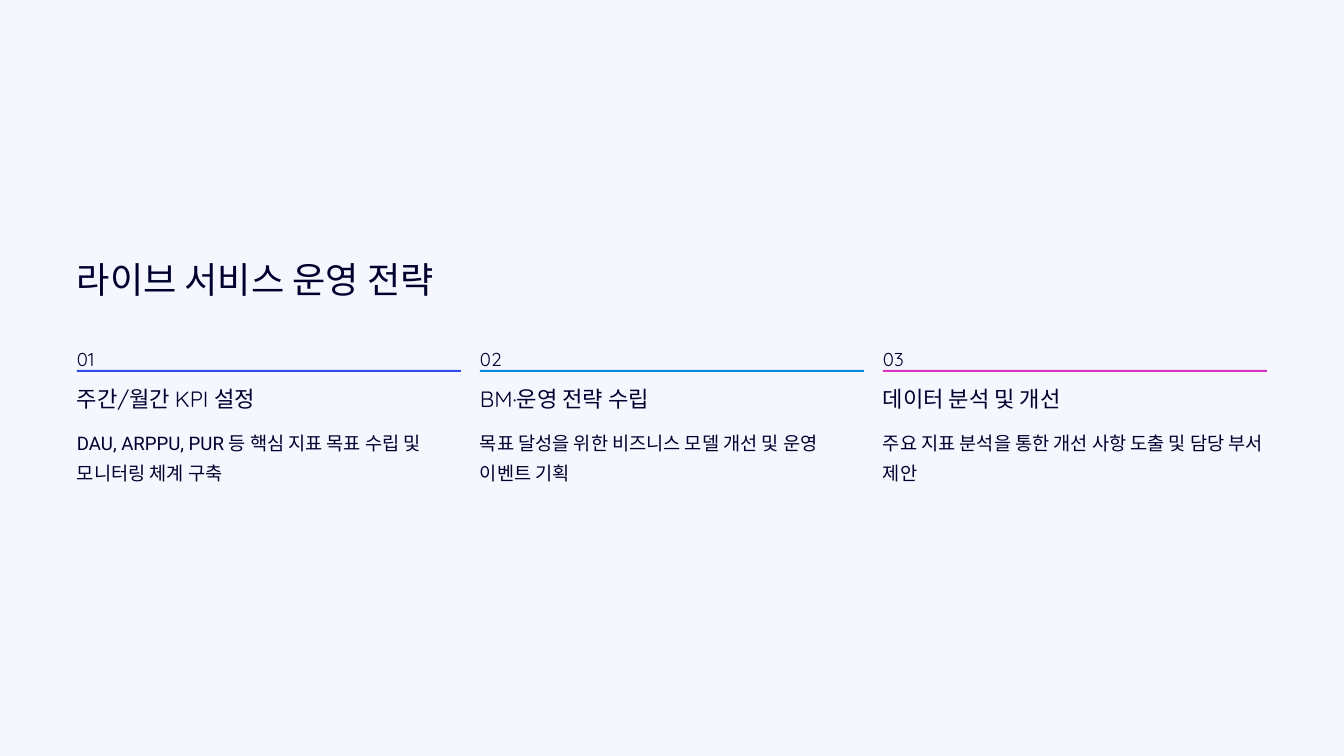
"""Build the live service operation strategy slide."""
from dataclasses import dataclass

from lxml.etree import SubElement
from pptx import Presentation
from pptx.dml.color import RGBColor
from pptx.enum.shapes import MSO_SHAPE
from pptx.oxml.ns import qn
from pptx.slide import Slide
from pptx.util import Emu, Pt

PX_PER_INCH = 84
SLIDE_WIDTH, SLIDE_HEIGHT = 1344, 756
LEFT, COLUMN_WIDTH, GAP = 77, 384, 19
LAVENDER = RGBColor(0xF3, 0xF3, 0xFF)
NAVY = RGBColor(0x00, 0x00, 0x2E)
BLUE = RGBColor(0x2D, 0x4D, 0xF2)
AZURE = RGBColor(0x01, 0x8C, 0xE1)
MAGENTA = RGBColor(0xDA, 0x33, 0xBF)


@dataclass(frozen=True)
class Strategy:
    """One column of the strategy overview."""

    heading: str
    detail: str
    accent: RGBColor


STRATEGIES = [
    Strategy("주간/월간 KPI 설정",
             "DAU, ARPPU, PUR 등 핵심 지표 목표 수립 및 모니터링 체계 구축", BLUE),
    Strategy("BM·운영 전략 수립",
             "목표 달성을 위한 비즈니스 모델 개선 및 운영 이벤트 기획", AZURE),
    Strategy("데이터 분석 및 개선",
             "주요 지표 분석을 통한 개선 사항 도출 및 담당 부서 제안", MAGENTA),
]


def px(length: int) -> Emu:
    """Turn a length in px into EMU."""
    return Emu(round(length * 914400 / PX_PER_INCH))


def add_text(slide: Slide, text: str, *, left: int, top: int, width: int, height: int,
             size: float, leading: float, font: str = "Quicksand", wrap: bool = False) -> None:
    """Place one paragraph of text in a box without margins."""
    box = slide.shapes.add_textbox(px(left), px(top), px(width), px(height))
    frame = box.text_frame
    frame.margin_left = frame.margin_right = frame.margin_top = frame.margin_bottom = 0
    frame.word_wrap = wrap
    paragraph = frame.paragraphs[0]
    paragraph.line_spacing = Pt(leading)
    run = paragraph.add_run()
    run.text = text
    run.font.name = font
    run.font.size = Pt(size)
    run.font.color.rgb = NAVY


def add_block(slide: Slide, color: RGBColor, *, left: int, top: int, width: int,
              height: int, opacity: int = 100) -> None:
    """Draw a plain rectangle, see-through when opacity is under 100 percent."""
    block = slide.shapes.add_shape(
        MSO_SHAPE.RECTANGLE, px(left), px(top), px(width), px(height))
    block.shadow.inherit = False
    block.fill.solid()
    block.fill.fore_color.rgb = color
    block.line.fill.background()
    if opacity < 100:
        tint = block.fill._xPr.find(qn("a:solidFill")).find(qn("a:srgbClr"))
        SubElement(tint, qn("a:alpha"), val=str(opacity * 1000))


def add_strategy(slide: Slide, index: int, strategy: Strategy) -> None:
    """Draw one numbered strategy column."""
    left = LEFT + index * (COLUMN_WIDTH + GAP)
    add_text(slide, f"{index + 1:02}", left=left, top=340, width=24, height=24,
             size=16, leading=26)
    add_block(slide, strategy.accent, left=left, top=370, width=COLUMN_WIDTH, height=2)
    add_text(slide, strategy.heading, left=left, top=384, width=226, height=29,
             size=19, leading=24)
    add_text(slide, strategy.detail, left=left, top=424, width=COLUMN_WIDTH, height=61,
             size=16, leading=26, font="Roboto", wrap=True)


def main() -> None:
    """Build and save the slide."""
    deck = Presentation()
    deck.slide_width, deck.slide_height = px(SLIDE_WIDTH), px(SLIDE_HEIGHT)
    slide = deck.slides.add_slide(deck.slide_layouts[6])
    add_block(slide, LAVENDER, left=0, top=0, width=SLIDE_WIDTH, height=SLIDE_HEIGHT,
              opacity=75)
    add_text(slide, "라이브 서비스 운영 전략", left=LEFT, top=256, width=362, height=45,
             size=31, leading=38.5)
    for index, strategy in enumerate(STRATEGIES):
        add_strategy(slide, index, strategy)
    deck.save("out.pptx")


if __name__ == "__main__":
    main()
